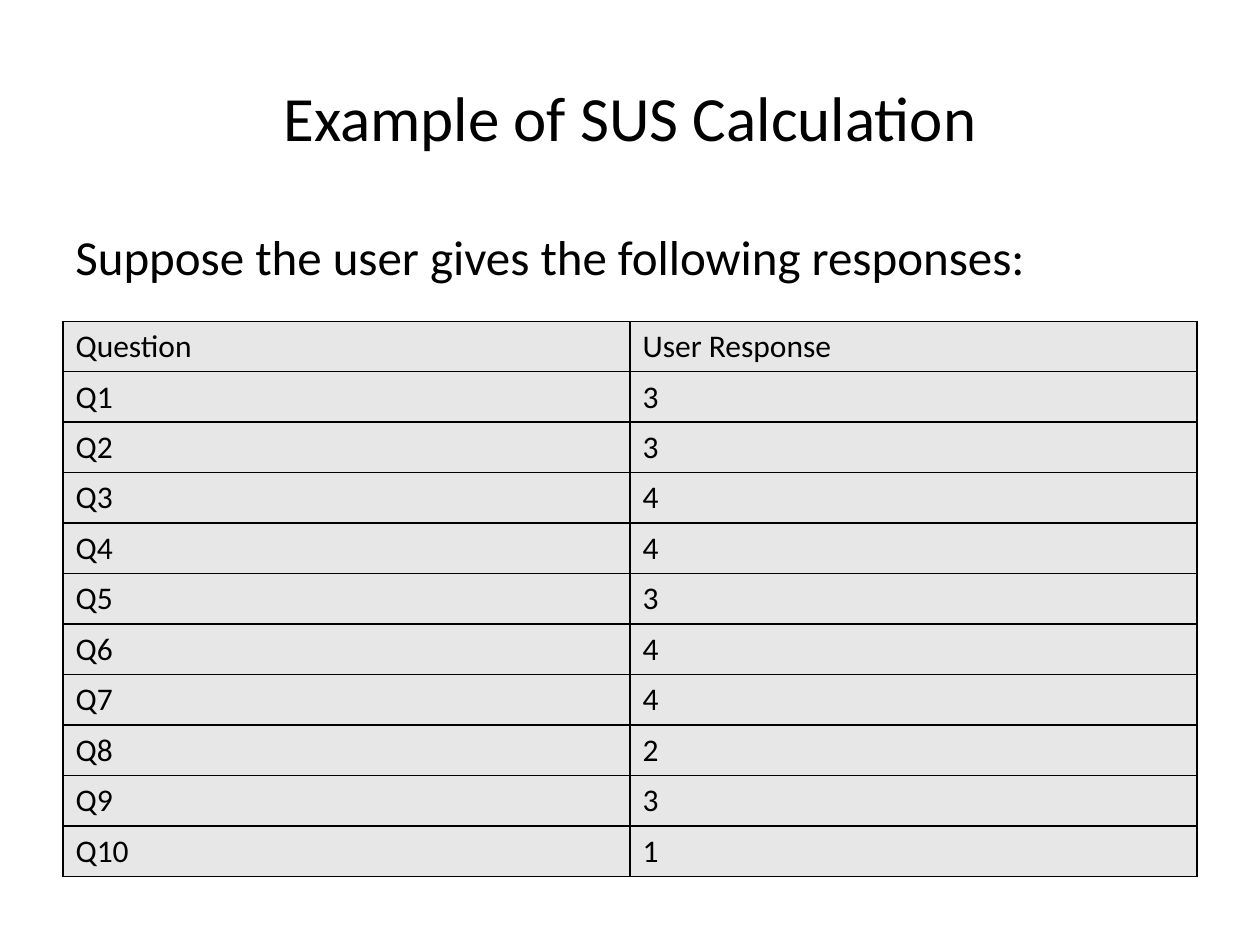
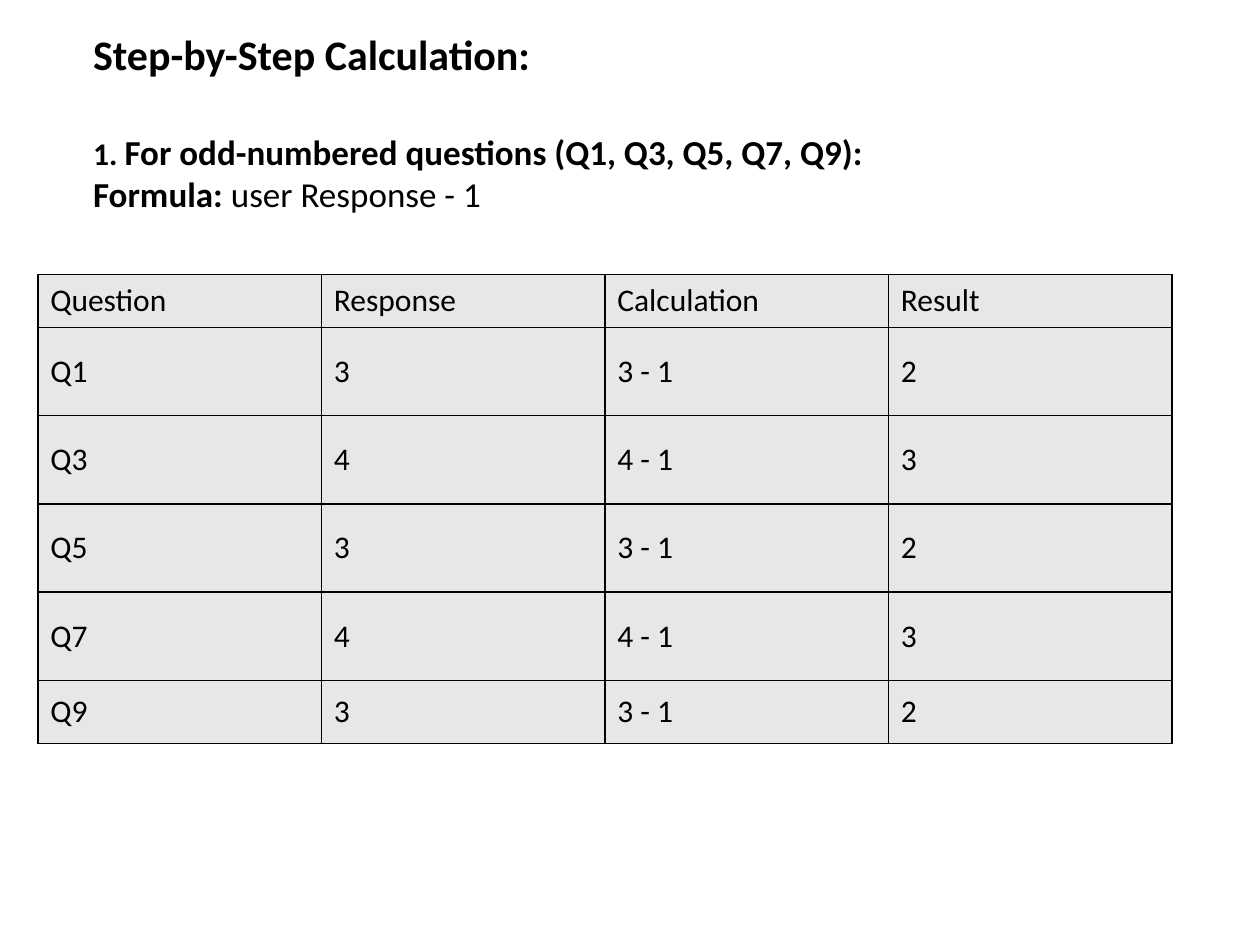
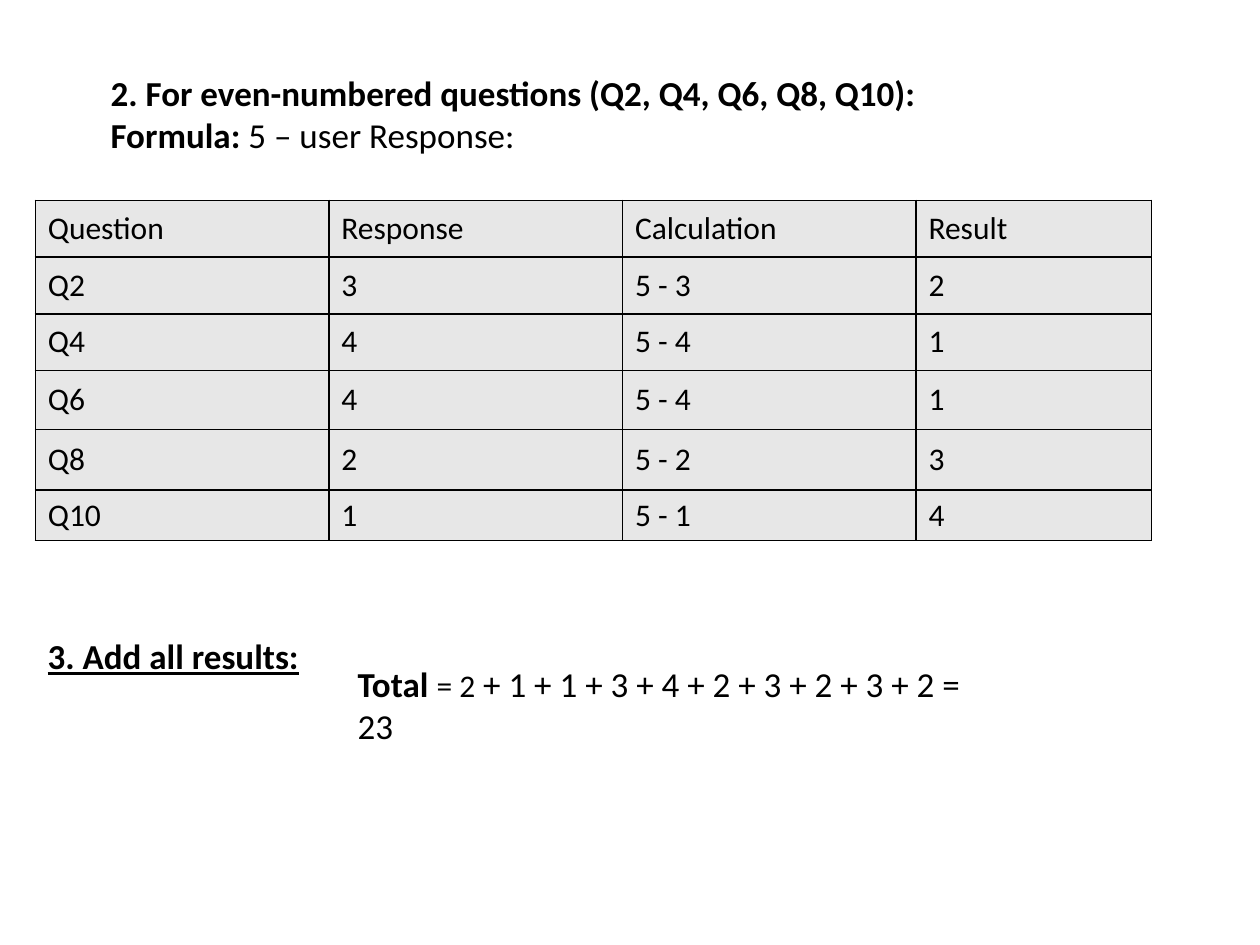
"""Build three slides that work through a SUS score."""
from dataclasses import dataclass
from lxml import etree
from pptx import Presentation, util as u
from pptx.dml.color import RGBColor
from pptx.enum import text as t
from pptx.oxml import ns


@dataclass(frozen=True)
class Theme:
    font: str = "Calibri"
    ink: str = "000000"
    cell: str = "E7E7E7"
    title: int = 36
    lead: int = 28
    head: int = 24
    body: int = 20
    small: int = 18
    rule: int = 1


LOOK = Theme()
REPLIES = [3, 3, 4, 4, 3, 4, 4, 2, 3, 1]
PAIRS = [(f"Q{n}", reply) for n, reply in enumerate(REPLIES, 1)]
STEPS = ["Question", "Response", "Calculation", "Result"]
ASKED = [("Question", "User Response")] + PAIRS
ODD = [STEPS] + [(q, r, f"{r} - 1", r - 1) for q, r in PAIRS[::2]]
EVEN = [STEPS] + [(q, r, f"5 - {r}", 5 - r) for q, r in PAIRS[1::2]]

BOLD = {"bold": True}
SMALL = {"size": LOOK.small}
SLIDES = [
    {
        "texts": [
            ((0.5, 0.3, 9, 1.25), [[("Example of SUS Calculation", {})]],
             {"size": LOOK.title, "align": t.PP_ALIGN.CENTER,
              "anchor": t.MSO_ANCHOR.MIDDLE}),
            ((0.5, 1.75, 9, 0.7),
             [[("Suppose the user gives the following responses:", {})]],
             {"size": LOOK.lead}),
        ],
        "table": (0.5, 2.55, [4.5] * 2, [0.4] * 11, ASKED),
    },
    {
        "texts": [
            ((0.64, 0.18, 6.58, 1.84),
             [[("Step-by-Step Calculation:", {"size": LOOK.head, **BOLD})],
              [("1. ", {**SMALL, **BOLD}),
               ("For odd-numbered questions (Q1, Q3, Q5, Q7, Q9):", BOLD)],
              [("Formula: ", BOLD), ("user Response - 1", {})]],
             {"gaps": {1: 29.3}}),
        ],
        "table": (0.3, 2.18, [2.25] * 4, [0.42] + [0.7] * 4 + [0.5], ODD),
    },
    {
        "texts": [
            ((0.78, 0.52, 6.9, 1.06),
             [[("2. For even-numbered questions (Q2, Q4, Q6, Q8, Q10):", BOLD)],
              [("Formula:", BOLD), (" 5 – user Response:", {})]], {}),
            ((0.28, 4.99, 2.32, 0.43),
             [[("3. Add all results:", {"line": True, **BOLD})]], {}),
            ((2.74, 5.21, 5.31, 0.74),
             [[("Total ", BOLD), ("= 2", SMALL),
               (" + 1 + 1 + 3 + 4 + 2 + 3 + 2 + 3 + 2 = 23", {})]], {}),
        ],
        "table": (0.28, 1.59, [2.33] * 3 + [1.87],
                  [0.45] * 3 + [0.47, 0.48, 0.4], EVEN),
    },
]


def write(frame, paras, size=LOOK.body, align=t.PP_ALIGN.LEFT,
          anchor=t.MSO_ANCHOR.TOP, gaps={}):
    frame.word_wrap = True
    frame.vertical_anchor = anchor
    for i, runs in enumerate(paras):
        para = frame.add_paragraph() if i else frame.paragraphs[0]
        para.alignment = align
        if i in gaps:
            para.space_before = u.Pt(gaps[i])
        for words, form in runs:
            run = para.add_run()
            run.text = words
            font = run.font
            font.name = LOOK.font
            font.size = u.Pt(form.get("size", size))
            font.bold = form.get("bold", False)
            font.underline = form.get("line", False)
            font.color.rgb = RGBColor.from_string(LOOK.ink)


def edge(cell):
    props = cell._tc.get_or_add_tcPr()
    for i, side in enumerate(("lnL", "lnR", "lnT", "lnB")):
        line = etree.Element(ns.qn(f"a:{side}"), w=str(u.Pt(LOOK.rule)))
        fill = etree.SubElement(line, ns.qn("a:solidFill"))
        etree.SubElement(fill, ns.qn("a:srgbClr"), val=LOOK.ink)
        props.insert(i, line)


def grid(slide, left, top, cols, rows, data):
    size = [u.Inches(n) for n in (left, top, sum(cols), sum(rows))]
    table = slide.shapes.add_table(len(rows), len(cols), *size).table
    table.first_row = table.horz_banding = False
    for col, width in zip(table.columns, cols):
        col.width = u.Inches(width)
    for row, high, values in zip(table.rows, rows, data):
        row.height = u.Inches(high)
        for cell, value in zip(row.cells, values):
            cell.fill.solid()
            cell.fill.fore_color.rgb = RGBColor.from_string(LOOK.cell)
            edge(cell)
            write(cell.text_frame, [[(str(value), {})]], size=LOOK.small)
            cell.vertical_anchor = t.MSO_ANCHOR.MIDDLE


def main():
    deck = Presentation()
    deck.slide_width, deck.slide_height = u.Inches(10), u.Inches(7.5)
    for page in SLIDES:
        slide = deck.slides.add_slide(deck.slide_layouts[6])
        for place, paras, form in page["texts"]:
            box = slide.shapes.add_textbox(*map(u.Inches, place))
            write(box.text_frame, paras, **form)
        grid(slide, *page["table"])
    deck.save("out.pptx")


if __name__ == "__main__":
    main()
